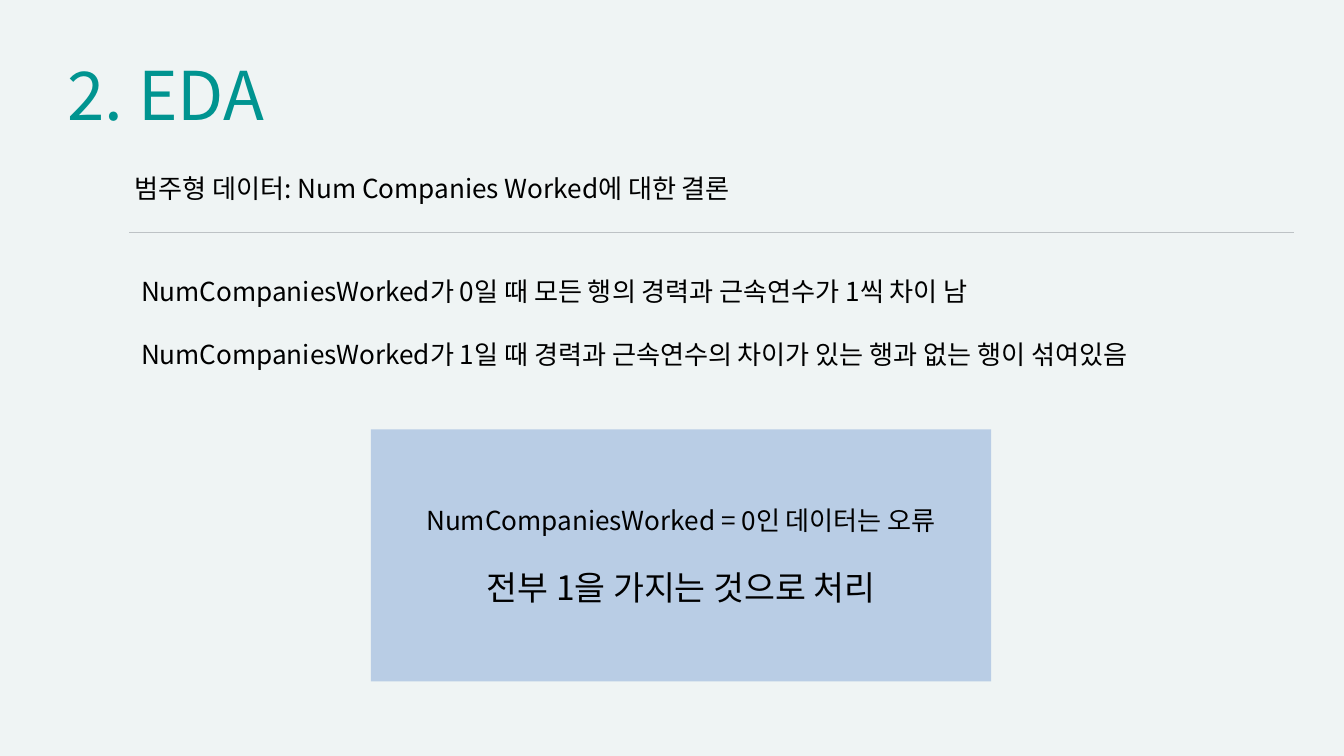
from lxml import etree
from pptx import Presentation
from pptx.dml.color import RGBColor
from pptx.enum.shapes import MSO_CONNECTOR, MSO_SHAPE
from pptx.enum.text import MSO_ANCHOR, MSO_AUTO_SIZE, PP_ALIGN
from pptx.oxml.ns import qn
from pptx.util import Inches, Pt

LEFT, CENTER = PP_ALIGN.LEFT, PP_ALIGN.CENTER
TOP, MIDDLE = MSO_ANCHOR.TOP, MSO_ANCHOR.MIDDLE
FIT_SHAPE = MSO_AUTO_SIZE.SHAPE_TO_FIT_TEXT
RECTANGLE, STRAIGHT = MSO_SHAPE.RECTANGLE, MSO_CONNECTOR.STRAIGHT

FONT = "Noto Sans CJK KR"
BODY_SIZE = 28
PARAGRAPH_GAP = 33.6  # one body line
COLORS = {
    "background": "EFF4F4",
    "title": "009490",
    "text": "000000",
    "rule": "BDC2C5",
    "conclusion": "B9CDE5",
}

# Content: each line is (text, size)
TITLE = [("2. EDA", 72)]
SUBTITLE = [("범주형 데이터: Num Companies Worked에 대한 결론", BODY_SIZE)]
FINDINGS = [
    ("NumCompaniesWorked가 0일 때 모든 행의 경력과 근속연수가 1씩 차이 남", BODY_SIZE),
    ("NumCompaniesWorked가 1일 때 경력과 근속연수의 차이가 있는 행과 없는 행이 섞여있음", BODY_SIZE),
]
CONCLUSION = [
    ("NumCompaniesWorked = 0인 데이터는 오류", BODY_SIZE),
    ("전부 1을 가지는 것으로 처리", 36),
]


def color(name):
    return RGBColor.from_string(COLORS[name])


def write(shape, lines, ink="text", align=LEFT, anchor=TOP, spacing=None, inset=True):
    frame = shape.text_frame
    frame.word_wrap = True
    frame.vertical_anchor = anchor
    if not inset:
        frame.margin_left = frame.margin_right = 0
        frame.margin_top = frame.margin_bottom = 0
    for index, (text, size) in enumerate(lines):
        para = frame.add_paragraph() if index else frame.paragraphs[0]
        para.alignment = align
        if index:
            para.space_before = Pt(PARAGRAPH_GAP)
        if spacing:
            para.line_spacing = Pt(spacing)
        span = para.add_run()
        span.text = text
        span.font.size = Pt(size)
        span.font.name = FONT
        span.font.color.rgb = color(ink)
        east_asian = etree.SubElement(span.font._element, qn("a:ea"))
        east_asian.set("typeface", FONT)


def add_text(page, place, lines, **style):
    box = page.shapes.add_textbox(*map(Inches, place))
    write(box, lines, **style)
    box.text_frame.auto_size = FIT_SHAPE


def add_panel(page, place, fill):
    panel = page.shapes.add_shape(RECTANGLE, *map(Inches, place))
    panel.shadow.inherit = False
    panel.fill.solid()
    panel.fill.fore_color.rgb = color(fill)
    panel.line.fill.background()
    return panel


def add_rule(page, left, right, top):
    rule = page.shapes.add_connector(
        STRAIGHT, Inches(left), Inches(top), Inches(right), Inches(top))
    rule.line.color.rgb = color("rule")
    rule.line.width = Pt(1)
    etree.SubElement(rule._element.spPr, qn("a:effectLst"))


def main():
    deck = Presentation()
    deck.slide_width, deck.slide_height = Inches(20), Inches(11.25)
    page = deck.slides.add_slide(deck.slide_layouts[6])

    # Backdrop
    add_panel(page, (0, -0.25, 20.54, 11.58), "background")

    # Heading
    add_text(page, (1, 0.79, 7.01, 1.21), TITLE, ink="title", spacing=86.4, inset=False)
    add_text(page, (2, 2.53, 10.85, 0.47), SUBTITLE, spacing=36.4, inset=False)
    add_rule(page, 1.92, 19.25, 3.46)

    # Findings and conclusion
    add_text(page, (2, 4.05, 15.19, 1.51), FINDINGS)
    panel = add_panel(page, (5.52, 6.39, 9.23, 3.75), "conclusion")
    write(panel, CONCLUSION, align=CENTER, anchor=MIDDLE)

    deck.save("out.pptx")


if __name__ == "__main__":
    main()
